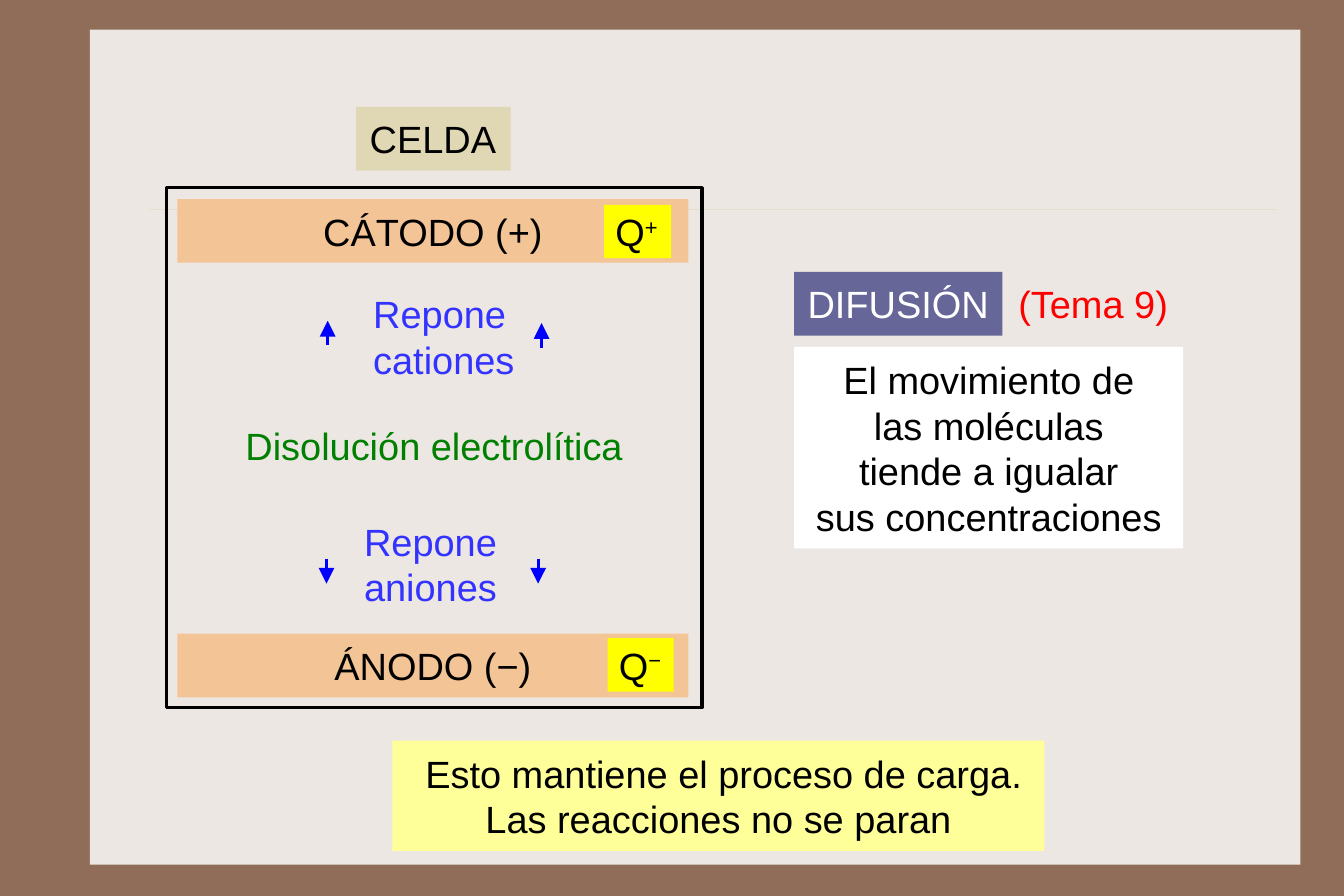
from pptx import Presentation
from pptx import util as u
from pptx.dml.color import RGBColor
from pptx.enum import shapes, text
from pptx.oxml import ns
from lxml import etree

LEFT, CENTER = text.PP_ALIGN.LEFT, text.PP_ALIGN.CENTER
BLACK, BLUE, PEACH, YELLOW = "000000", "3333FF", "F3C495", "FFFF00"
INSETS = (0.12, 0.08)
TIGHT = (0.1, 0.09)

# Content: lines, (left, top, width, height), fill, text colour, alignment, wrap, (left, top) inset
# A "^" starts a superscript.
ion_labels = [
    (["Repone cationes"], (2.81, 2.47, 2.18, 0.97), None, BLUE, LEFT, True, (0.47, 0.08)),
    (["Repone aniones"], (2.71, 4.47, 2.16, 0.97), None, BLUE, LEFT, True, (0.49, 0.08)),
]
diffusion = [
    (["DIFUSIÓN"], (6.98, 2.39, 1.83, 0.56), "666699", "FFFFFF", CENTER, False, INSETS),
    (["(Tema 9)"], (8.83, 2.39, 1.57, 0.56), None, "FF0000", LEFT, False, INSETS),
    (["El movimiento de", "las moléculas", "tiende a igualar", "sus concentraciones"],
     (6.98, 3.05, 3.42, 1.77), "FFFFFF", BLACK, CENTER, True, INSETS),
]
conclusion = [
    ([" Esto mantiene el proceso de carga. Las reacciones no se paran"],
     (3.45, 6.51, 5.73, 0.97), "FFFF99", BLACK, CENTER, True, INSETS),
]
cell = [
    (["CÁTODO (+)"], (1.56, 1.75, 4.49, 0.56), PEACH, BLACK, CENTER, True, INSETS),
    (["ÁNODO (−)"], (1.56, 5.57, 4.49, 0.56), PEACH, BLACK, CENTER, True, INSETS),
    (["Disolución electrolítica"], (1.98, 3.63, 3.67, 0.56), None, "008000", CENTER, True, INSETS),
    (["CELDA"], (3.13, 0.94, 1.36, 0.56), "E0D7B5", BLACK, LEFT, False, INSETS),
    (["Q^+"], (5.31, 1.8, 0.59, 0.47), YELLOW, BLACK, LEFT, False, TIGHT),
    (["Q^−"], (5.34, 5.61, 0.58, 0.47), YELLOW, BLACK, LEFT, False, TIGHT),
]
# Ion arrows: x, start y, end y
ion_arrows = [(2.88, 3.03, 2.82), (4.76, 3.06, 2.84), (2.87, 4.91, 5.13), (4.73, 4.91, 5.13)]

# Slide in the ratio 3:2
deck = Presentation()
deck.slide_height = u.Inches(63 / 8)
deck.slide_width = u.Inches(63 / 8 * 3 / 2)
slide = deck.slides.add_slide(deck.slide_layouts[6])


def rgb(color):
    return RGBColor.from_string(color)


def add_box(place, fill=None, line=None):
    box = slide.shapes.add_shape(shapes.MSO_SHAPE.RECTANGLE, *map(u.Inches, place))
    box.shadow.inherit = False
    if fill:
        box.fill.solid()
        box.fill.fore_color.rgb = rgb(fill)
    else:
        box.fill.background()
    if line:
        box.line.color.rgb = rgb(line)
        box.line.width = u.Pt(2)
    else:
        box.line.fill.background()
    return box


def add_label(lines, place, fill, color, align, wrap, insets):
    if fill:
        label = add_box(place, fill)
    else:
        label = slide.shapes.add_textbox(*map(u.Inches, place))
    frame = label.text_frame
    frame.word_wrap = wrap
    frame.vertical_anchor = text.MSO_ANCHOR.MIDDLE
    frame.margin_left = u.Inches(insets[0])
    frame.margin_right = u.Inches(min(insets[0], 0.12))
    frame.margin_top = frame.margin_bottom = u.Inches(insets[1])
    for i, line in enumerate(lines):
        paragraph = frame.add_paragraph() if i else frame.paragraphs[0]
        paragraph.alignment = align
        for j, piece in enumerate(line.split("^")):
            run = paragraph.add_run()
            run.text = piece
            run.font.name, run.font.size = "Arial", u.Pt(24)
            run.font.color.rgb = rgb(color)
            if j:
                run.font._element.set("baseline", "30000")


def add_line(start, end, color, width, arrow=False):
    line = slide.shapes.add_connector(shapes.MSO_CONNECTOR.STRAIGHT, *map(u.Inches, start + end))
    line.line.color.rgb = rgb(color)
    line.line.width = u.Pt(width)
    if arrow:
        outline = line.line._get_or_add_ln()
        etree.SubElement(outline, ns.qn("a:tailEnd"), type="triangle", w="lg", len="lg")
    etree.SubElement(line._element.spPr, ns.qn("a:effectLst"))


# Background panel and rule
slide.background.fill.solid()
slide.background.fill.fore_color.rgb = rgb("906D58")
add_box((0.79, 0.26, 10.64, 7.34), "EDE7E3")
add_line((1.31, 1.84), (11.22, 1.84), "E6DDCC", 0.25)

# Cell frame, labels and ion arrows
add_box((1.46, 1.65, 4.71, 4.57), line=BLACK)
for label in ion_labels + diffusion + conclusion + cell:
    add_label(*label)
for x, start_y, end_y in ion_arrows:
    add_line((x, start_y), (x, end_y), "0000FF", 2, arrow=True)

deck.save("out.pptx")
